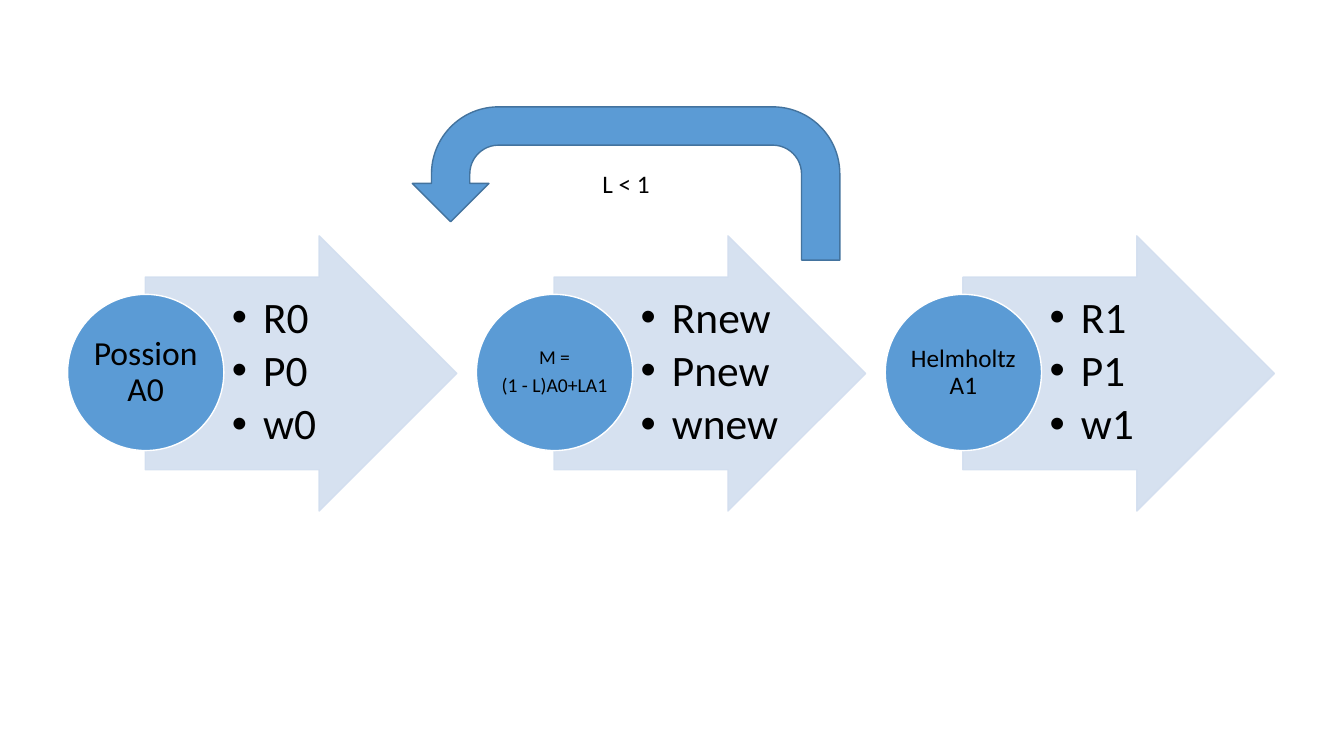
from lxml import etree
from pptx import Presentation
from pptx.dml.color import RGBColor
from pptx.enum.shapes import MSO_SHAPE
from pptx.enum.text import MSO_ANCHOR, PP_ALIGN
from pptx.oxml.ns import qn
from pptx.util import Inches, Pt

ARROW = MSO_SHAPE.RIGHT_ARROW
OVAL = MSO_SHAPE.OVAL
UTURN = MSO_SHAPE.U_TURN_ARROW
MIDDLE = MSO_ANCHOR.MIDDLE
LEFT = PP_ALIGN.LEFT
CENTER = PP_ALIGN.CENTER

COLORS = {"pale": "D2DEEF", "blue": "5B9BD5", "edge": "43739E", "white": "FFFFFF", "text": "000000"}


def add_form(kind, box, fill, line):
    form = slide.shapes.add_shape(kind, *[Inches(n) for n in box])
    form.shadow.inherit = False
    form.fill.solid()
    form.fill.fore_color.rgb = RGBColor.from_string(COLORS[fill])
    form.line.color.rgb = RGBColor.from_string(COLORS[line])
    form.line.width = Pt(1)
    return form


def add_text(form, lines, size, align, pitch, space, inset):
    frame = form.text_frame
    frame.word_wrap = True
    frame.vertical_anchor = MIDDLE
    frame.margin_left = Inches(inset)
    frame.margin_right = frame.margin_top = frame.margin_bottom = Inches(0.02)
    frame.text = "\n".join(lines)
    for par in frame.paragraphs:
        par.alignment = align
        par.line_spacing = pitch
        par.space_after = Pt(size * space)
        par.font.size = Pt(size)
        par.font.name = "Calibri"
        par.font.color.rgb = RGBColor.from_string(COLORS["text"])
    return frame


deck = Presentation()
deck.slide_width = Inches(13.33)
deck.slide_height = Inches(7.5)
slide = deck.slides.add_slide(deck.slide_layouts[6])

steps = [
    (["Possion A0"], 24, ["R0", "P0", "w0"]),
    (["M =", "(1 - L)A0+LA1"], 14, ["Rnew", "Pnew", "wnew"]),
    (["Helmholtz A1"], 18, ["R1", "P1", "w1"]),
]
for i, (name, size, items) in enumerate(steps):
    left = 0.67 + 4.055 * i
    arrow = add_form(ARROW, (left + 0.77, 2.34, 3.09, 2.73), "pale", "pale")
    arrow.adjustments[0] = 0.7
    arrow.adjustments[1] = 0.5
    for color in arrow.element.spPr.iter(qn("a:srgbClr")):
        etree.SubElement(color, qn("a:alpha"), val="90000")
    box = slide.shapes.add_textbox(Inches(left + 1.54), Inches(2.75), Inches(1.6), Inches(1.89))
    frame = add_text(box, items, 31, LEFT, 0.9, 0.15, 0.09)
    for par in frame.paragraphs:
        props = par._p.get_or_add_pPr()
        props.set("marL", str(Inches(0.31)))
        props.set("indent", str(Inches(-0.31)))
        etree.SubElement(props, qn("a:buFont"), typeface="Arial")
        etree.SubElement(props, qn("a:buChar"), char="•")
        for rest in props.findall(qn("a:defRPr")):
            props.append(rest)
    circle = add_form(OVAL, (left, 2.92, 1.55, 1.55), "blue", "white")
    add_text(circle, name, size, CENTER, 0.9, 0.35, 0.02)

loop = add_form(UTURN, (4.09, 1.06, 4.24, 1.52), "blue", "edge")
loop.element.spPr.xfrm.set("flipH", "1")
add_text(loop, ["L < 1"], 18, CENTER, 1, 0, 0.02)

deck.save("out.pptx")
